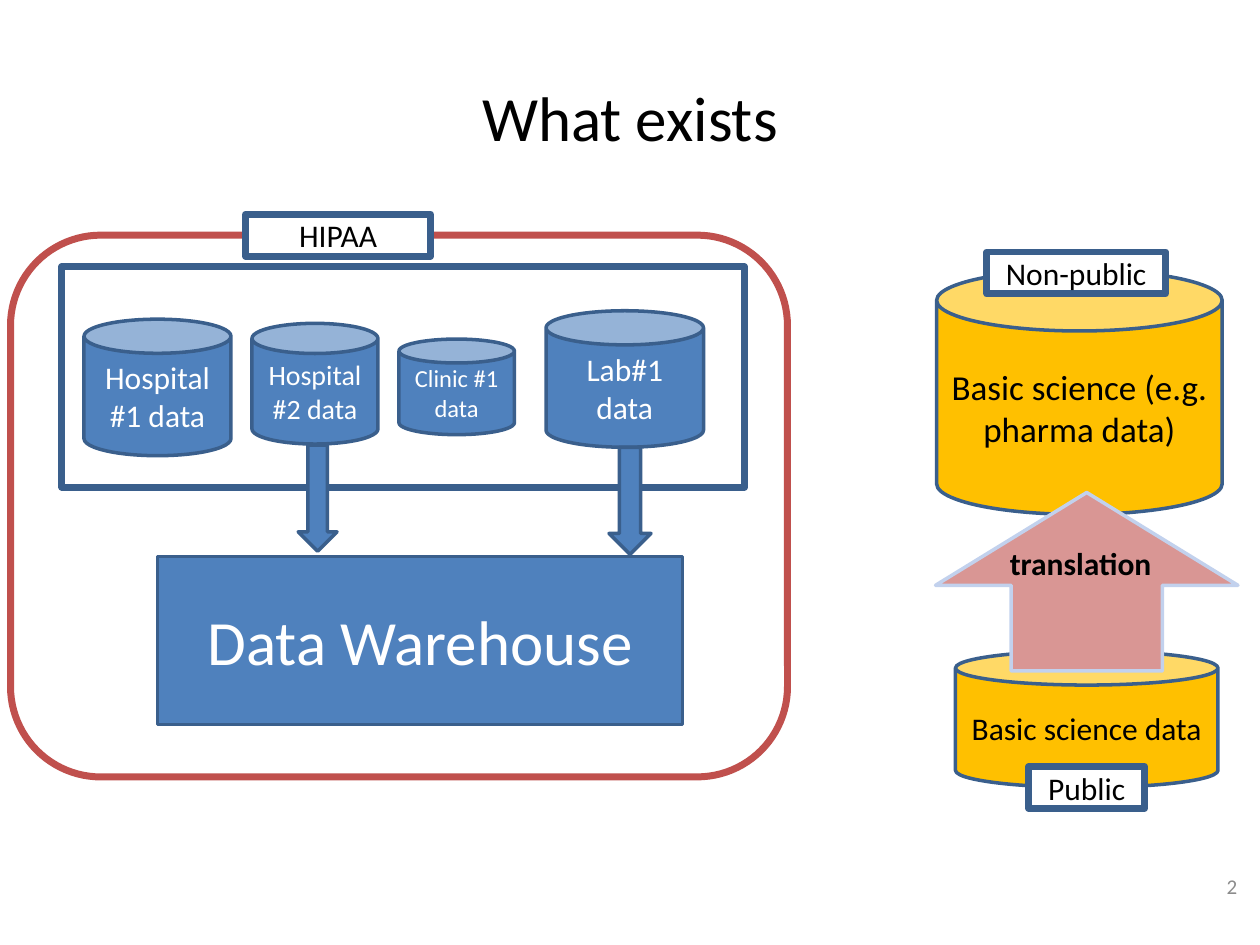
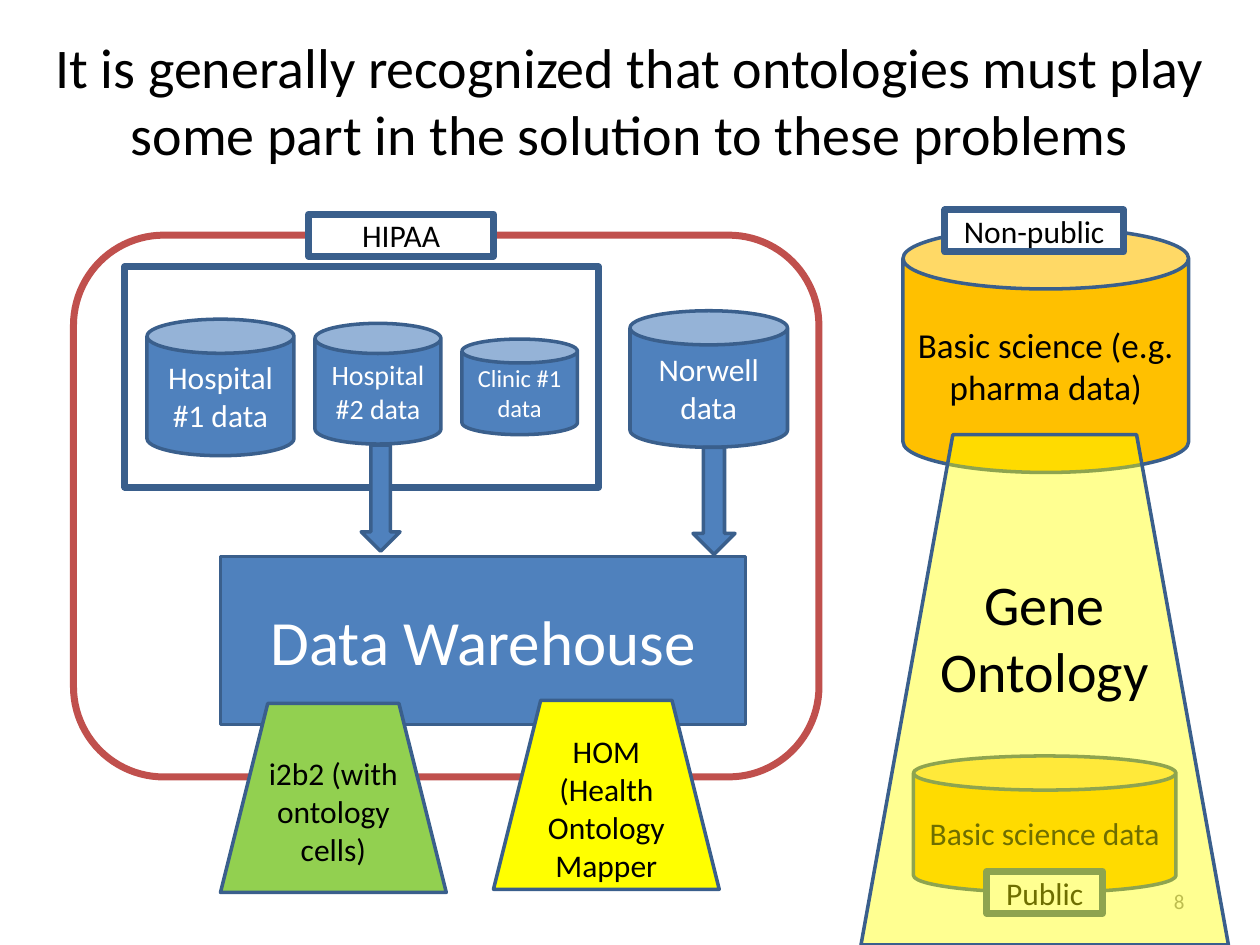
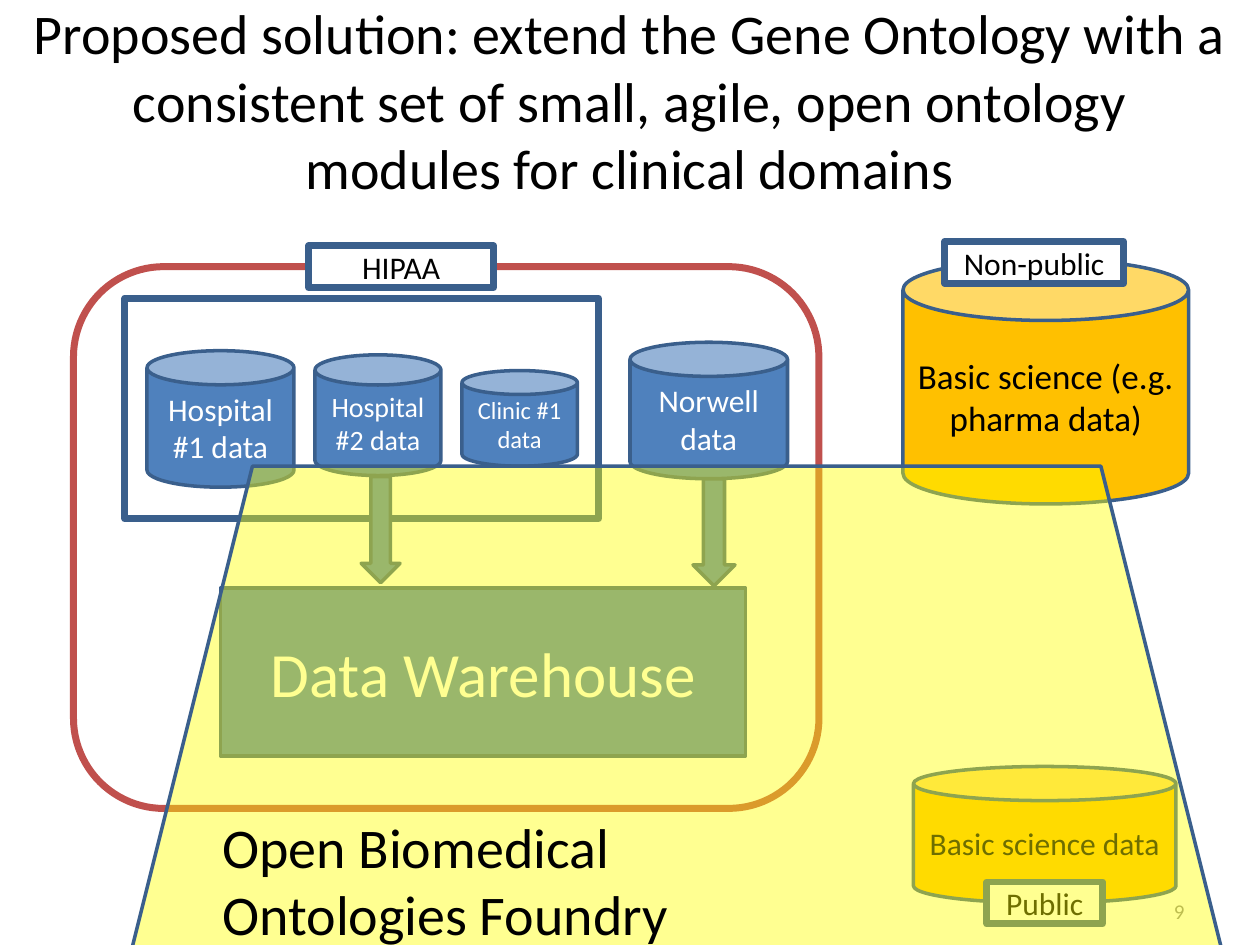
from dataclasses import dataclass, replace
from typing import NamedTuple, Optional

from lxml import etree
from pptx import Presentation
from pptx.dml.color import RGBColor
from pptx.enum.shapes import MSO_SHAPE
from pptx.enum.text import MSO_ANCHOR, PP_ALIGN
from pptx.oxml.ns import qn
from pptx.util import Inches, Pt

CAN = MSO_SHAPE.CAN
RECT = MSO_SHAPE.RECTANGLE
ROUND = MSO_SHAPE.ROUNDED_RECTANGLE
DOWN = MSO_SHAPE.DOWN_ARROW
RIGHT_ARROW = MSO_SHAPE.RIGHT_ARROW
TRAP = MSO_SHAPE.TRAPEZOID
LEFT, CENTER, RIGHT = PP_ALIGN.LEFT, PP_ALIGN.CENTER, PP_ALIGN.RIGHT
TOP, MIDDLE = MSO_ANCHOR.TOP, MSO_ANCHOR.MIDDLE

WIDE, HIGH = Inches(10), Inches(7.5)
COLS, ROWS = 120, 90


class Look(NamedTuple):
    fill: Optional[str]
    line: str
    weight: float
    ink: str
    alpha: int = 100


@dataclass(frozen=True)
class Theme:
    font: str = "Calibri"
    black: str = "000000"
    gray: str = "8C8C8C"
    tiny: int = 12
    small: int = 14
    mid: int = 16
    body: int = 18
    large: int = 20
    head: int = 32
    huge: int = 36
    blue: Look = Look("4F81BD", "3A5F8C", 2, "FFFFFF")
    gold: Look = Look("FFC000", "3A5F8C", 2, "000000")
    tag: Look = Look("FFFFFF", "3A5F8C", 4, "000000")
    fence: Look = Look(None, "C0504D", 4, "000000")
    pink: Look = Look("D99694", "C2D1ED", 2, "000000")
    green: Look = Look("92D050", "3A5F8C", 2, "000000")
    yellow: Look = Look("FFFF00", "3A5F8C", 2, "000000")
    glass: Look = Look("FFFF00", "3A5F8C", 2, "000000", 43)


THEME = Theme()


class Box(NamedTuple):
    """Left and width in columns, top and height in rows."""
    left: float
    top: float
    wide: float
    high: float

    def shift(self, cols: float, rows: float) -> "Box":
        return self._replace(left=self.left + cols, top=self.top + rows)


@dataclass(frozen=True)
class Part:
    kind: MSO_SHAPE
    box: Box
    look: Look
    text: str = ""
    size: int = THEME.body
    align: PP_ALIGN = CENTER


@dataclass(frozen=True)
class Scene:
    """What differs between the slides; points are in columns and rows."""
    title: str
    head: Box
    size: int
    page: str
    foot: tuple[float, float]
    shift: tuple[float, float]
    frame: float
    fence: float
    lab: str
    gap: float
    pharma: tuple[float, float]
    closed: tuple[float, float]
    public: tuple[float, float]


FIRST = Scene("What exists", Box(4, 3.6, 112, 15), THEME.huge, "2", (91, 82),
              (0, 0), 65, 74, "Lab#1 data", 0, (89.2, 25.7), (94, 24), (91, 62))
SECOND = Scene("It is generally recognized that ontologies must play some part "
               "in the solution to these problems",
               Box(2, 2, 116, 15), THEME.head, "8", (86, 83.4),
               (6, 0), 45.1, 71, "Norwell data", 2, (86, 21.7), (90, 20), (87, 72))
THIRD = replace(SECOND, title="Proposed solution: extend the Gene Ontology with a "
                "consistent set of small, agile, open ontology modules for "
                "clinical domains",
                page="9", foot=(86, 84.4), shift=(6, 3), pharma=(86, 24.7),
                closed=(90, 23), public=(87, 73))


def place(box: Box) -> tuple[int, int, int, int]:
    return (round(box.left * WIDE / COLS), round(box.top * HIGH / ROWS),
            round(box.wide * WIDE / COLS), round(box.high * HIGH / ROWS))


def write(frame, text: str, size: int, ink: str, align, anchor=MIDDLE, bold=False):
    frame.word_wrap = True
    frame.vertical_anchor = anchor
    frame.text = text
    for para in frame.paragraphs:
        para.alignment = align
        for run in para.runs:
            font = run.font
            font.name, font.size, font.bold = THEME.font, Pt(size), bold
            font.color.rgb = RGBColor.from_string(ink)


def label(slide, box: Box, text: str, size: int, ink: str, align, anchor=MIDDLE, bold=False):
    frame = slide.shapes.add_textbox(*place(box)).text_frame
    write(frame, text, size, ink, align, anchor, bold)


def draw(slide, part: Part):
    look = part.look
    shape = slide.shapes.add_shape(part.kind, *place(part.box))
    shape.shadow.inherit = False
    if look.fill:
        shape.fill.solid()
        shape.fill.fore_color.rgb = RGBColor.from_string(look.fill)
    else:
        shape.fill.background()
    if look.alpha < 100:
        tint = shape.fill._xPr.find(qn("a:solidFill"))[0]
        etree.SubElement(tint, qn("a:alpha")).set("val", str(look.alpha * 1000))
    shape.line.color.rgb = RGBColor.from_string(look.line)
    shape.line.width = Pt(look.weight)
    if part.text:
        write(shape.text_frame, part.text, part.size, look.ink, part.align)
    return shape


def care(scene: Scene) -> list[Part]:
    """Parts of the clinical side, before they are shifted."""
    t, gap = THEME, scene.gap
    return [
        Part(RECT, Box(5.9, 25.4, scene.frame, 21), t.tag),
        Part(CAN, Box(8, 30.4, 14, 13), t.blue, "Hospital #1 data"),
        Part(CAN, Box(24, 30.8, 12, 11.5), t.blue, "Hospital #2 data", t.mid),
        Part(CAN, Box(52 + gap, 29.6, 15, 13), t.blue, scene.lab),
        Part(CAN, Box(38, 32.3, 11, 9.1), t.blue, "Clinic #1 data", t.small),
        Part(ROUND, Box(1, 22.4, scene.fence, 51.6), t.fence),
        Part(RECT, Box(23.4, 20.4, 17.6, 4), t.tag, "HIPAA"),
        Part(DOWN, Box(28.4, 42.4, 3.7, 10.1), t.blue),
        Part(DOWN, Box(58 + gap, 42.6, 4, 10.2), t.blue),
        Part(RECT, Box(15, 53, 50, 16), t.blue, "Data Warehouse", t.huge),
    ]


def bench(scene: Scene) -> list[Part]:
    """Parts of the basic science side."""
    t = THEME
    left, top = scene.public
    return [
        Part(CAN, Box(left, top, 25, 13), t.gold, "Basic science data"),
        Part(RECT, Box(left + 7, top + 11, 11, 4), t.tag, "Public"),
        Part(CAN, Box(*scene.pharma, 27.2, 23.3), t.gold,
             "Basic science (e.g. pharma data)", t.large),
        Part(RECT, Box(*scene.closed, 17, 4), t.tag, "Non-public"),
    ]


def start(deck, scene: Scene):
    """Add a slide with all that the scenes share."""
    slide = deck.slides.add_slide(deck.slide_layouts[6])
    for part in care(scene):
        draw(slide, replace(part, box=part.box.shift(*scene.shift)))
    for part in bench(scene):
        draw(slide, part)
    label(slide, scene.head, scene.title, scene.size, THEME.black, CENTER)
    label(slide, Box(*scene.foot, 28, 4.8), scene.page, THEME.tiny, THEME.gray, RIGHT)
    return slide


def main():
    deck = Presentation()
    deck.slide_width, deck.slide_height = WIDE, HIGH

    slide = start(deck, FIRST)
    arrow = draw(slide, Part(RIGHT_ARROW, Box(95, 41, 17, 28.8), THEME.pink))
    arrow.rotation = 270
    arrow.adjustments[0], arrow.adjustments[1] = 0.5, 0.52
    label(slide, Box(95, 51.2, 18, 8.5), "translation", THEME.body, THEME.black,
          LEFT, TOP, True)

    slide = start(deck, SECOND)
    draw(slide, Part(TRAP, Box(21, 67, 21.5, 18), THEME.green,
                     "i2b2 (with ontology cells)"))
    draw(slide, Part(TRAP, Box(47, 66.7, 21.5, 18), THEME.yellow,
                     "HOM (Health Ontology Mapper"))
    gene = draw(slide, Part(TRAP, Box(82, 41.4, 35, 48.6), THEME.glass,
                            "Gene Ontology", THEME.head))
    gene.text_frame.margin_bottom = round(HIGH * 0.21)

    slide = start(deck, THIRD)
    forge = draw(slide, Part(TRAP, Box(11.9, 44.4, 105.1, 48.6), THEME.glass,
                             "Open Biomedical\nOntologies Foundry", THEME.head, LEFT))
    forge.text_frame.margin_top = round(HIGH * 0.3)

    deck.save("out.pptx")


if __name__ == "__main__":
    main()
